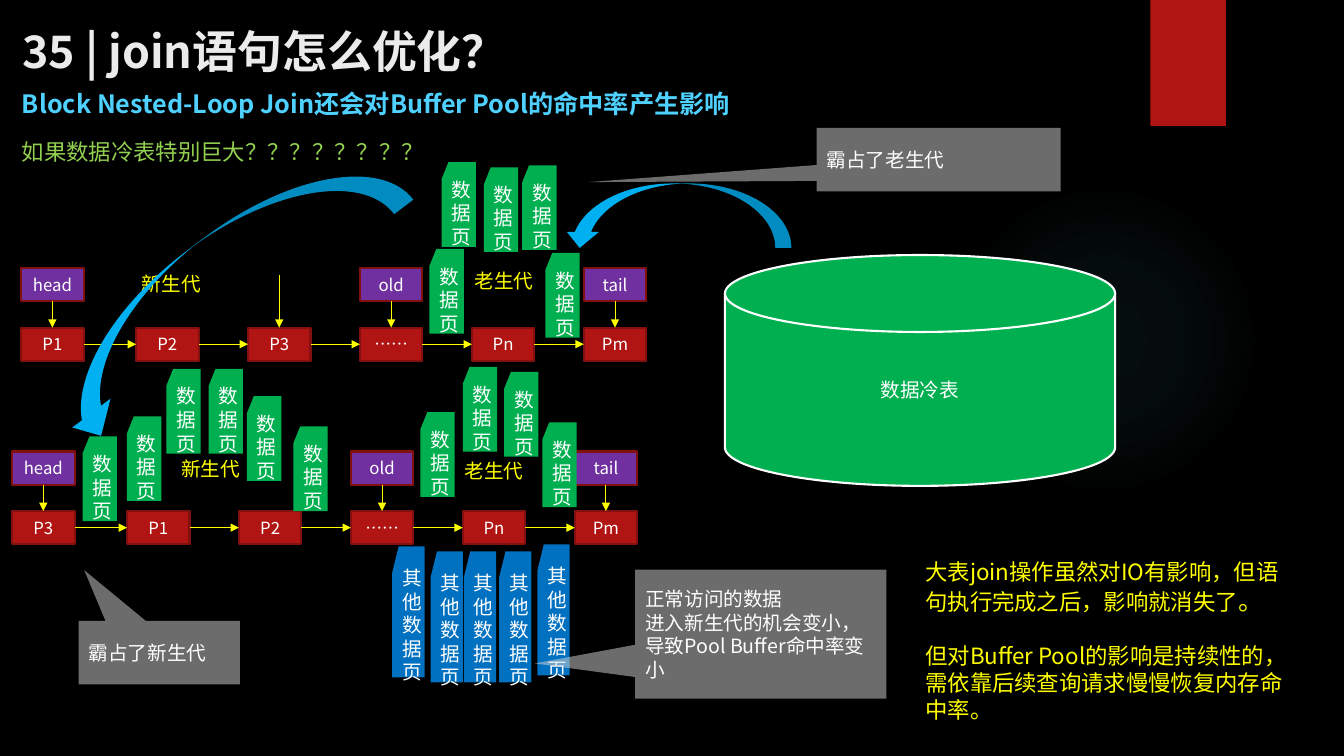
from lxml import etree
from pptx import Presentation
from pptx.dml.color import RGBColor as RGB
from pptx.enum.shapes import MSO_CONNECTOR as LINK, MSO_SHAPE as KIND
from pptx.enum.text import MSO_ANCHOR as ANCHOR, PP_ALIGN as ALIGN
from pptx.oxml.ns import qn
from pptx.util import Inches, Pt

FONT = "Noto Sans CJK SC"
HEX = {
    "black": "000000", "white": "FFFFFF", "title": "EBEBEB", "sky": "4FD1FF",
    "lime": "92D050", "yellow": "FFFF00", "red": "B01513", "edge": "82100E",
    "purple": "7030A0", "green": "00B050", "blue": "0070C0", "arrow": "00B0F0",
    "grey": "D9D9D9", "glow": "50B9C1",
}


def tint(name):
    return RGB.from_string(HEX[name])


def lens(box):
    return [Inches(n) for n in box]


def child(parent, tag, **attrs):
    return etree.SubElement(parent, qn(tag), attrs)


def write(shape, lines, size, color, align=ALIGN.LEFT, bold=False, gap=0):
    frame = shape.text_frame
    for i, line in enumerate(lines):
        para = frame.add_paragraph() if i else frame.paragraphs[0]
        para.alignment = align
        if i and gap:
            para.space_before = Pt(gap)
        para.add_run().text = line
        font = para.font
        font.size, font.bold, font.name = Pt(size), bold, FONT
        font.color.rgb = tint(color)
        child(para._p.pPr.find(qn("a:defRPr")), "a:ea", typeface=FONT)


def label(slide, box, lines, size, color, bold=False, wrap=True, gap=0):
    text = slide.shapes.add_textbox(*lens(box))
    text.text_frame.word_wrap = wrap
    write(text, lines, size, color, bold=bold, gap=gap)
    return text


def block(slide, kind, box, fill, line=None):
    shape = slide.shapes.add_shape(kind, *lens(box))
    shape.shadow.inherit = False
    shape.fill.solid()
    shape.fill.fore_color.rgb = tint(fill)
    if line:
        shape.line.color.rgb = tint(line)
        shape.line.width = Pt(1.5)
    else:
        shape.line.fill.background()
    return shape


def node(slide, x, y, text, fill):
    shape = block(slide, KIND.RECTANGLE, (x, y, 0.62, 0.33), fill, "edge")
    write(shape, [text], 12, "white", ALIGN.CENTER)
    return shape


def arrow(slide, start=(0, 0), end=(0, 0), join=None):
    """Draw a yellow arrow; join holds (from, side, to, side)."""
    line = slide.shapes.add_connector(LINK.STRAIGHT, *lens(start + end))
    if join:
        line.begin_connect(*join[:2])
        line.end_connect(*join[2:])
    line.line.color.rgb = tint("yellow")
    line.line.width = Pt(0.75)
    props = line._element.spPr
    child(props.find(qn("a:ln")), "a:tailEnd", type="triangle")
    child(props, "a:effectLst")
    return line


def cards(slide, x, y, spots, text, fill, size):
    for dx, dy in spots:
        card = block(slide, KIND.FLOWCHART_CARD, (x + dx, y + dy) + size, fill)
        write(card, [text], 14, "white", ALIGN.CENTER)


# One linked list: nodes, pointers, generation labels and data pages
def chain(slide, x, y, names, young, old, pages):
    steps = [0] + [1.14 + 1.11 * i for i in range(5)]
    boxes = [node(slide, x + dx, y + 0.59, name, "red")
             for dx, name in zip(steps, names)]
    for left, right in zip(boxes, boxes[1:]):
        arrow(slide, join=(left, 3, right, 1))
    for i, name in ((0, "head"), (3, "old"), (5, "tail")):
        mark = node(slide, x + steps[i], y, name, "purple")
        arrow(slide, join=(mark, 2, boxes[i], 0))
    for (dx, dy), name in ((young, "新生代"), (old, "老生代")):
        label(slide, (x + dx, y + dy, 0.8, 0.34), [name], 14, "yellow")
    cards(slide, x, y, pages, "数据页", "green", (0.34, 0.84))
    return boxes


def swoop(slide, box, turn=0):
    shape = block(slide, KIND.CURVED_DOWN_ARROW, box, "arrow")
    shape._element.spPr.find(qn("a:xfrm")).set("flipH", "1")
    shape.rotation = turn


def callout(slide, box, tip, lines):
    shape = block(slide, KIND.RECTANGULAR_CALLOUT, box, "grey")
    shape.adjustments[0], shape.adjustments[1] = tip
    color = shape._element.spPr.find(".//" + qn("a:srgbClr"))
    child(color, "a:alpha", val="50000")
    write(shape, lines, 14, "white")


# Background glow and corner ribbon
def decor(slide):
    glow = block(slide, KIND.OVAL, (9.41, 1.83, 3.08, 3.08), "glow")
    solid = glow._element.spPr.find(qn("a:solidFill"))
    grad = etree.Element(qn("a:gradFill"), rotWithShape="1")
    stops = child(grad, "a:gsLst")
    for pos, alpha in ((0, 7), (36, 6), (69, 0)):
        stop = child(stops, "a:gs", pos=str(pos * 1000))
        color = child(stop, "a:srgbClr", val=HEX["glow"])
        child(color, "a:alpha", val=str(alpha * 1000))
    shade = child(grad, "a:path", path="circle")
    child(shade, "a:fillToRect", l="50000", t="50000", r="50000", b="50000")
    solid.getparent().replace(solid, grad)
    block(slide, KIND.RECTANGLE, (11.41, 0, 0.75, 1.25), "red")


def header(slide, x, y):
    title = label(slide, (x, y, 12.19, 0.66), ["35 | join语句怎么优化？"],
                  32, "title", bold=True)
    title.text_frame.vertical_anchor = ANCHOR.MIDDLE
    label(slide, (x, y + 0.66, 7.44, 0.4),
          ["Block Nested-Loop Join还会对Buffer Pool的命中率产生影响"],
          18, "sky", bold=True, wrap=False)
    label(slide, (x, y + 1.15, 12.97, 0.37),
          ["如果数据冷表特别巨大？？？？？？？？"], 16, "lime")


def lists(slide):
    # Before: pages flood the old generation
    boxes = chain(slide, 0.21, 2.66, ["P1", "P2", "P3", "……", "Pn", "Pm"],
                  (1.1, -0.01), (4.4, -0.04),
                  [(5.2, -0.15), (4.05, -0.19), (4.97, -1.02),
                   (4.59, -1), (4.17, -1.05)])
    drop = arrow(slide, (2.77, 2.73), (2.77, 3.25))
    drop.end_connect(boxes[2], 0)
    # After: pages reach the young generation
    chain(slide, 0.12, 4.48, ["P3", "P1", "P2", "……", "Pn", "Pm"],
          (1.58, 0), (4.39, 0.02),
          [(0.7, -0.15), (1.14, -0.35), (1.53, -0.82), (1.95, -0.82),
           (2.33, -0.55), (2.79, -0.25), (5.26, -0.29), (4.88, -0.79),
           (4.47, -0.84), (4.05, -0.39)])
    # Other pages that are pushed out
    cards(slide, 3.89, 5.4,
          [(1.44, 0), (1.06, 0.07), (0.71, 0.07), (0.38, 0.07), (0, 0.02)],
          "其他数据页", "blue", (0.32, 1.3))


def table(slide, box):
    disk = block(slide, KIND.FLOWCHART_MAGNETIC_DISK, box, "green", "white")
    write(disk, ["数据冷表"], 14, "white", ALIGN.CENTER)


def notes(slide):
    callout(slide, (8.1, 1.27, 2.42, 0.63), (-1.436, 0.353), ["霸占了老生代"])
    callout(slide, (0.78, 6.16, 1.6, 0.63), (-0.465, -1.299), ["霸占了新生代"])
    callout(slide, (6.3, 5.65, 2.49, 1.28), (-0.901, 0.228),
            ["正常访问的数据", "进入新生代的机会变小，导致Pool Buffer命中率变小"])


def summary(slide, box):
    text = label(slide, box,
                 ["大表join操作虽然对IO有影响，但语句执行完成之后，影响就消失了",
                  "但对Buffer Pool的影响是持续性的，需依靠后续查询请求慢慢恢复内存命中率。"],
                 16, "yellow", gap=19)
    stop = text.text_frame.paragraphs[0].add_run()
    stop.text = "。"
    stop.font.size, stop.font.name = Pt(18), "Quicksand"


def main():
    deck = Presentation()
    deck.slide_width, deck.slide_height = Inches(13.33), Inches(7.5)
    slide = deck.slides.add_slide(deck.slide_layouts[6])
    slide.background.fill.solid()
    slide.background.fill.fore_color.rgb = tint("black")
    decor(slide)
    header(slide, 0.12, 0.17)
    lists(slide)
    swoop(slide, (5.59, 1.82, 2.26, 0.64))
    swoop(slide, (0.11, 2.37, 4.12, 0.95), 322.9)
    table(slide, (7.19, 2.53, 3.87, 2.29))
    notes(slide)
    summary(slide, (9.08, 5.49, 3.9, 1.75))
    deck.save("out.pptx")


if __name__ == "__main__":
    main()
